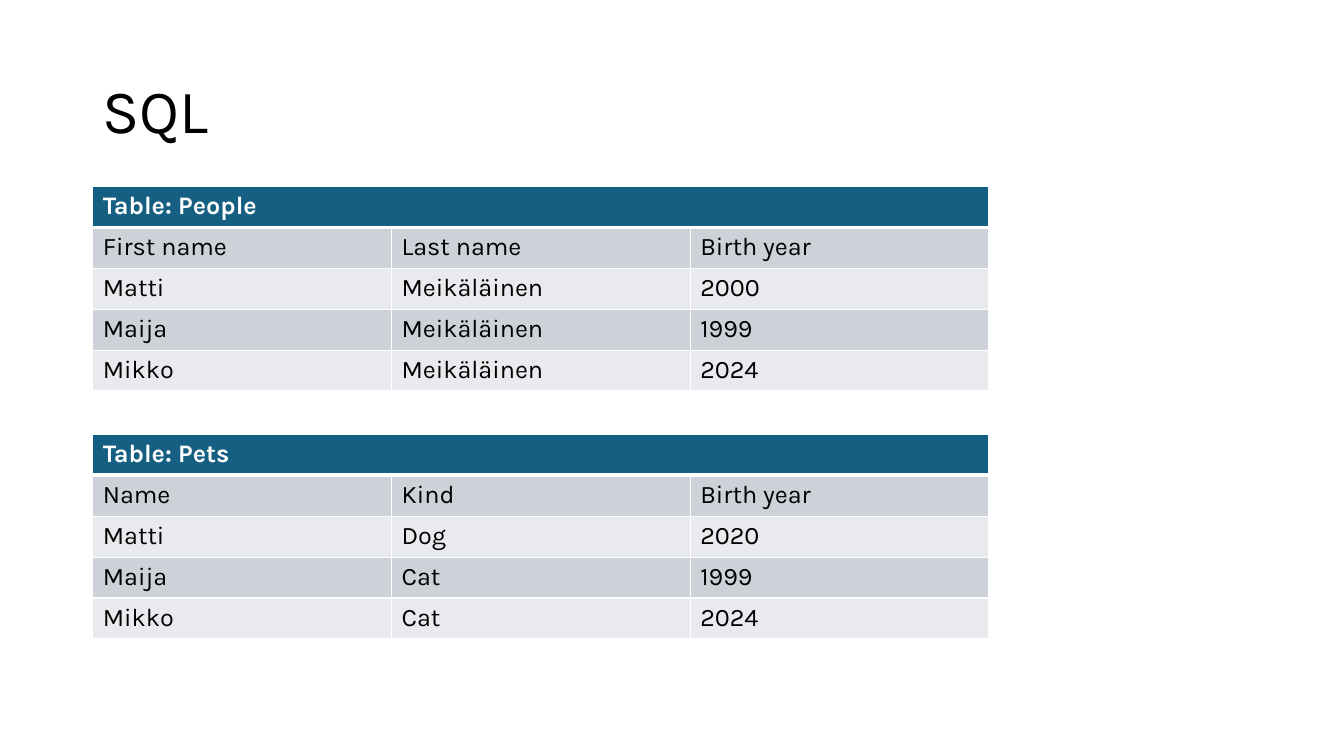
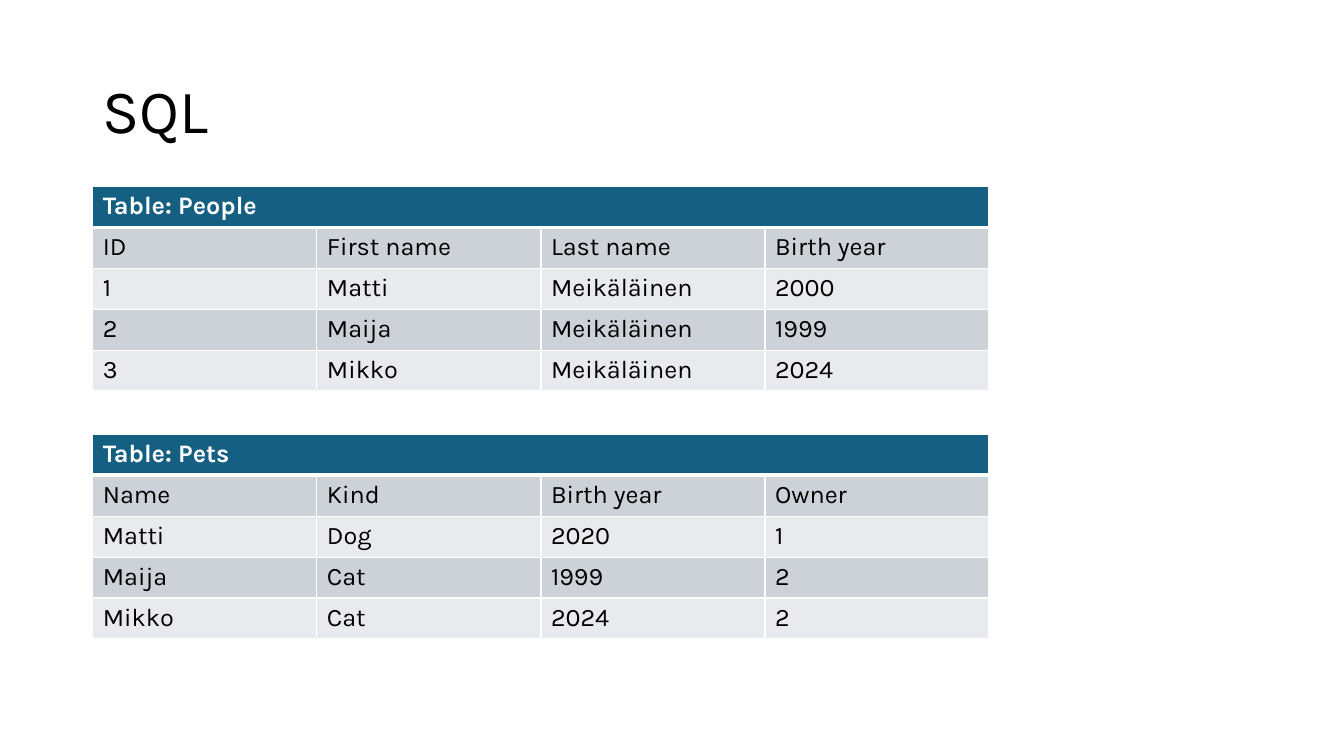
from dataclasses import dataclass

from lxml.etree import SubElement
from pptx import Presentation
from pptx.dml.color import RGBColor
from pptx.enum.text import MSO_ANCHOR as Anchor
from pptx.oxml.ns import qn
from pptx.util import Inches, Pt

# Shared style
FONT = "Karla"
BLACK, WHITE = "000000", "FFFFFF"
HEADING_FILL = "156082"
BAND_FILLS = ("CCD2D8", "E8EAED")
LEFT = 0.92
TABLE_WIDTH, TABLE_HEIGHT = 8.89, 2.03
TABLE_TOPS = (1.85, 4.31)
THIN, THICK = 1, 3


@dataclass(frozen=True)
class DataTable:
    heading: str
    rows: tuple[tuple[str, ...], ...]


@dataclass(frozen=True)
class TableSlide:
    title: str
    tables: tuple[DataTable, ...]


# Content
SLIDES = (
    TableSlide("SQL", (
        DataTable("Table: People", (
            ("First name", "Last name", "Birth year"),
            ("Matti", "Meikäläinen", "2000"),
            ("Maija", "Meikäläinen", "1999"),
            ("Mikko", "Meikäläinen", "2024"),
        )),
        DataTable("Table: Pets", (
            ("Name", "Kind", "Birth year"),
            ("Matti", "Dog", "2020"),
            ("Maija", "Cat", "1999"),
            ("Mikko", "Cat", "2024"),
        )),
    )),
    TableSlide("SQL", (
        DataTable("Table: People", (
            ("ID", "First name", "Last name", "Birth year"),
            ("1", "Matti", "Meikäläinen", "2000"),
            ("2", "Maija", "Meikäläinen", "1999"),
            ("3", "Mikko", "Meikäläinen", "2024"),
        )),
        DataTable("Table: Pets", (
            ("Name", "Kind", "Birth year", "Owner"),
            ("Matti", "Dog", "2020", "1"),
            ("Maija", "Cat", "1999", "2"),
            ("Mikko", "Cat", "2024", "2"),
        )),
    )),
)


def rgb(color: str) -> RGBColor:
    return RGBColor.from_string(color)


def write(frame, text: str, *, size: float = 18, color: str = BLACK,
          bold: bool = False, line_spacing: float = 1.0) -> None:
    paragraph = frame.paragraphs[0]
    paragraph.line_spacing = line_spacing
    run = paragraph.add_run()
    run.text = text
    run.font.name = FONT
    run.font.size = Pt(size)
    run.font.bold = bold
    run.font.color.rgb = rgb(color)


def style_cell(cell, fill: str, top: float = THIN, bottom: float = THIN) -> None:
    # Border lines have to come before the fill in the cell properties
    properties = cell._tc.get_or_add_tcPr()
    for side, width in (("L", THIN), ("R", THIN), ("T", top), ("B", bottom)):
        line = SubElement(properties, qn(f"a:ln{side}"), w=str(Pt(width)))
        solid = SubElement(line, qn("a:solidFill"))
        SubElement(solid, qn("a:srgbClr"), val=WHITE)
    cell.fill.solid()
    cell.fill.fore_color.rgb = rgb(fill)


def add_title(slide, title: str) -> None:
    box = slide.shapes.add_textbox(Inches(LEFT), Inches(0.4), Inches(11.5), Inches(1.45))
    box.text_frame.word_wrap = True
    box.text_frame.vertical_anchor = Anchor.MIDDLE
    write(box.text_frame, title, size=44, line_spacing=0.9)


def add_data_table(slide, data: DataTable, top: float) -> None:
    row_count, column_count = len(data.rows) + 1, len(data.rows[0])
    table = slide.shapes.add_table(
        row_count, column_count, Inches(LEFT), Inches(top),
        Inches(TABLE_WIDTH), Inches(TABLE_HEIGHT)).table

    # Heading across all columns
    for column in range(column_count):
        style_cell(table.cell(0, column), HEADING_FILL, bottom=THICK)
    heading = table.cell(0, 0)
    heading.merge(table.cell(0, column_count - 1))
    write(heading.text_frame, data.heading, color=WHITE, bold=True)

    # Banded rows
    for row, values in enumerate(data.rows, start=1):
        for column, value in enumerate(values):
            cell = table.cell(row, column)
            style_cell(cell, BAND_FILLS[(row - 1) % 2], top=THICK if row == 1 else THIN)
            write(cell.text_frame, value)


def main() -> None:
    deck = Presentation()
    deck.slide_width, deck.slide_height = Inches(13.33), Inches(7.5)
    blank = deck.slide_layouts[6]
    for content in SLIDES:
        slide = deck.slides.add_slide(blank)
        add_title(slide, content.title)
        for data, top in zip(content.tables, TABLE_TOPS):
            add_data_table(slide, data, top)
    deck.save("out.pptx")


if __name__ == "__main__":
    main()
